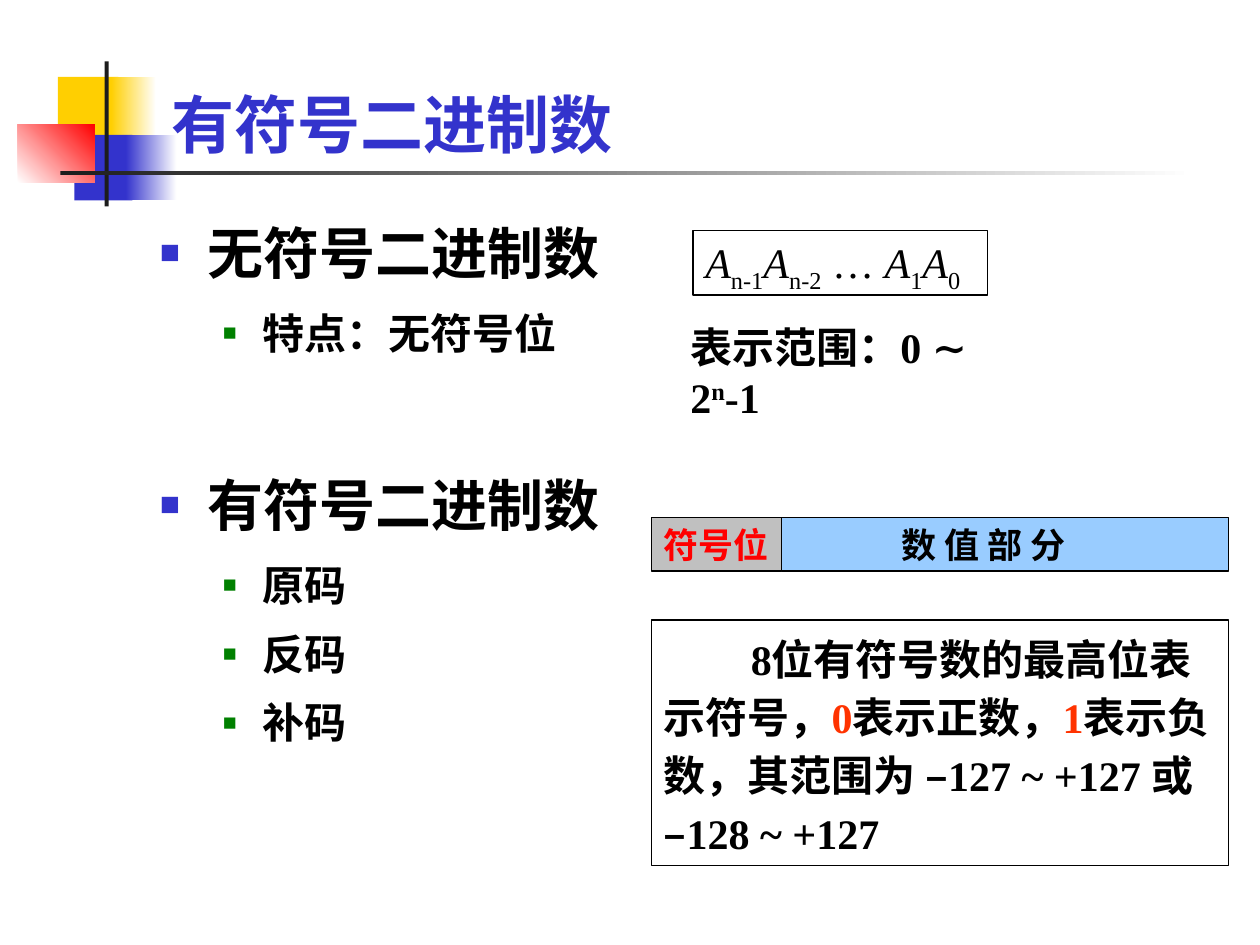
from lxml import etree
from pptx import Presentation
from pptx import util as u
from pptx.dml.color import RGBColor
from pptx.enum import shapes, text
from pptx.oxml import ns

FONT = "Times New Roman"
HUE = {"gold": "FFCF01", "blue": "3333CC", "red": "FF0000", "ink": "1C1C1C",
       "white": "FFFFFF", "black": "000000", "green": "008000",
       "orange": "FF3300", "gray": "C0C0C0", "sky": "99CCFF"}

TITLE = "有符号二进制数"
LISTS = [
    ((2.97, 4.01, 10.59, 3.38), "无符号二进制数", ["特点：无符号位"]),
    ((2.97, 9.09, 10.59, 6.35), "有符号二进制数", ["原码", "反码", "补码"]),
]
LEVELS = [
    {"size": 32, "left": 0.95, "hang": 0.95, "hue": "blue", "pct": 60},
    {"size": 24, "left": 2.06, "hang": 0.79, "hue": "green", "pct": 55},
]
DECOR = [
    ((1.17, 1.55, 1.22, 1.32), ["gold"], 0),
    ((2.24, 1.55, 0.91, 1.32), ["gold", "white"], 0),
    ((1.5, 2.72, 1.17, 1.32), ["blue"], 0),
    ((2.54, 2.72, 1.02, 1.32), ["blue", "white"], 0),
    ((0.36, 2.51, 1.55, 1.17), ["white", "red"], 45),
    ((2.11, 1.24, 0.08, 2.92), ["ink"], 0),
    ((1.22, 3.45, 22.86, 0.08), ["ink", "white"], 0),
]
TERMS = [("A", "n-1"), ("A", "n-2"), (" … ", ""), ("A", "1"), ("A", "0")]
RANGE = [("表示范围：0 ∼ 2", 0), ("n", 30), ("-1", 0)]
NOTE = [("8位有符号数的最高位表示符号，", "black"), ("0", "orange"),
        ("表示正数，", "black"), ("1", "orange"),
        ("表示负数，其范围为 –127 ~ +127 或 –128 ~ +127", "black")]
LEFT, RIGHT, SIGN = 13.13, 24.76, 2.63


def rgb(name):
    return RGBColor.from_string(HUE[name])


def place(shape, box):
    shape.left, shape.top, shape.width, shape.height = map(u.Cm, box)


def write(para, words, size, hue="black", bold=True, italic=False, base=0):
    run = para.add_run()
    run.text = words
    font = run.font
    font.name, font.size, font.bold, font.italic = FONT, u.Pt(size), bold, italic
    font.color.rgb = rgb(hue)
    if base:
        run.font._element.set("baseline", str(base * 1000))


def draw(slide, box, hues=(), angle=0, line=False):
    shape = slide.shapes.add_shape(shapes.MSO_SHAPE.RECTANGLE, *map(u.Cm, box))
    shape.shadow.inherit = False
    if len(hues) > 1:
        shape.fill.gradient()
        shape.fill.gradient_angle = angle
        for stop, hue in zip(shape.fill.gradient_stops, hues):
            stop.color.rgb = rgb(hue)
    elif hues:
        shape.fill.solid()
        shape.fill.fore_color.rgb = rgb(hues[0])
    else:
        shape.fill.background()
    if line:
        shape.line.color.rgb = rgb("black")
        shape.line.width = u.Pt(0.75)
    else:
        shape.line.fill.background()
    return shape


def start(shape, anchor="TOP", align="LEFT", wrap=True):
    frame = shape.text_frame
    frame.word_wrap = wrap
    frame.auto_size = text.MSO_AUTO_SIZE.NONE
    frame.vertical_anchor = getattr(text.MSO_ANCHOR, anchor)
    para = frame.paragraphs[0]
    para.alignment = getattr(text.PP_ALIGN, align)
    return para


def item(para, words, level):
    look = LEVELS[level]
    para.level = level
    para.line_spacing = 1.2
    para.space_before = u.Pt(0)
    para.space_after = u.Pt(look["size"] * 0.2)
    props = para._p.get_or_add_pPr()
    props.set("marL", str(u.Cm(look["left"])))
    props.set("indent", str(-u.Cm(look["hang"])))
    color = etree.SubElement(props, ns.qn("a:buClr"))
    etree.SubElement(color, ns.qn("a:srgbClr"), val=HUE[look["hue"]])
    etree.SubElement(props, ns.qn("a:buSzPct"), val=str(look["pct"] * 1000))
    etree.SubElement(props, ns.qn("a:buChar"), char="■")
    write(para, words, look["size"])


def main():
    """Build the slide on signed binary numbers."""
    deck = Presentation()
    deck.slide_width, deck.slide_height = u.Cm(25.4), u.Cm(19.05)
    slide = deck.slides.add_slide(deck.slide_layouts[3])
    title, *bodies = list(slide.placeholders)[:3]

    for box, hues, angle in DECOR:
        draw(slide, box, hues, angle)
    for holder in (title, *bodies):
        holder.element.getparent().append(holder.element)

    place(title, (3.2, 0.2, 21.64, 3.18))
    write(start(title, "BOTTOM"), TITLE, 36, "blue")

    for body, (box, head, subs) in zip(bodies, LISTS):
        place(body, box)
        item(start(body), head, 0)
        for sub in subs:
            item(body.text_frame.add_paragraph(), sub, 1)

    para = start(draw(slide, (13.97, 4.65, 5.94, 1.3), line=True), wrap=False)
    for base, sub in TERMS:
        write(para, base, 24, bold=False, italic=bool(sub))
        if sub:
            write(para, sub, 24, bold=False, base=-25)

    span = slide.shapes.add_textbox(*map(u.Cm, (13.67, 6.35, 7.52, 1.27)))
    para = start(span)
    for words, base in RANGE:
        write(para, words, 24, base=base)

    para = start(draw(slide, (LEFT, 12.5, RIGHT - LEFT, 4.95), line=True))
    para.line_spacing = 1.15
    para._p.get_or_add_pPr().set("indent", str(u.Cm(1.76)))
    for words, hue in NOTE:
        write(para, words, 24, hue)

    sign = draw(slide, (LEFT, 10.44, SIGN, 1.07), ["gray"], line=True)
    write(start(sign, "MIDDLE", wrap=False), "符号位", 20, "red")
    mid = LEFT + SIGN
    value = draw(slide, (mid, 10.44, RIGHT - mid, 1.07), ["sky"], line=True)
    value.text_frame.margin_right = u.Cm(1.13)
    write(start(value, "MIDDLE", "CENTER"), "数 值 部 分", 20)

    deck.save("out.pptx")


if __name__ == "__main__":
    main()
